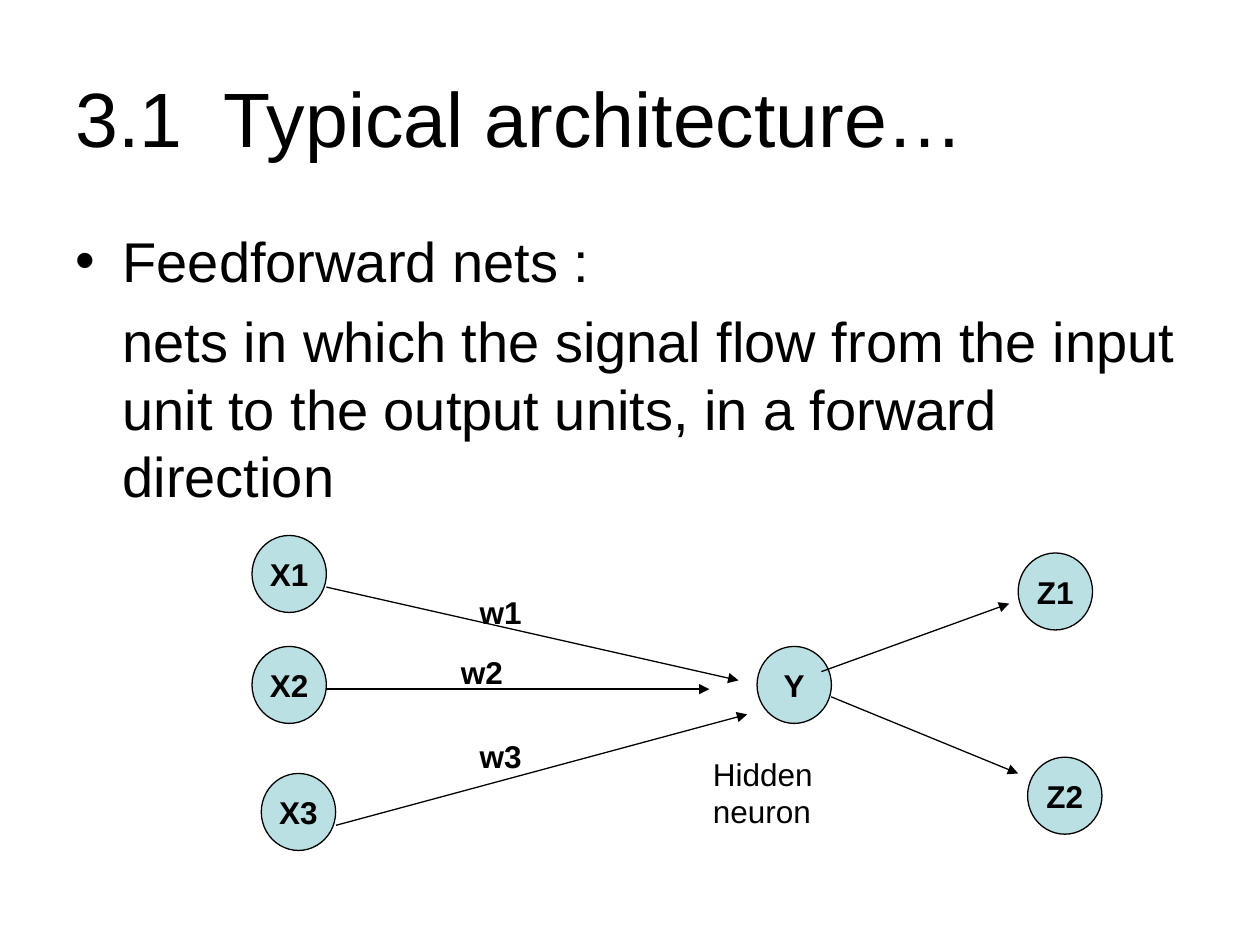
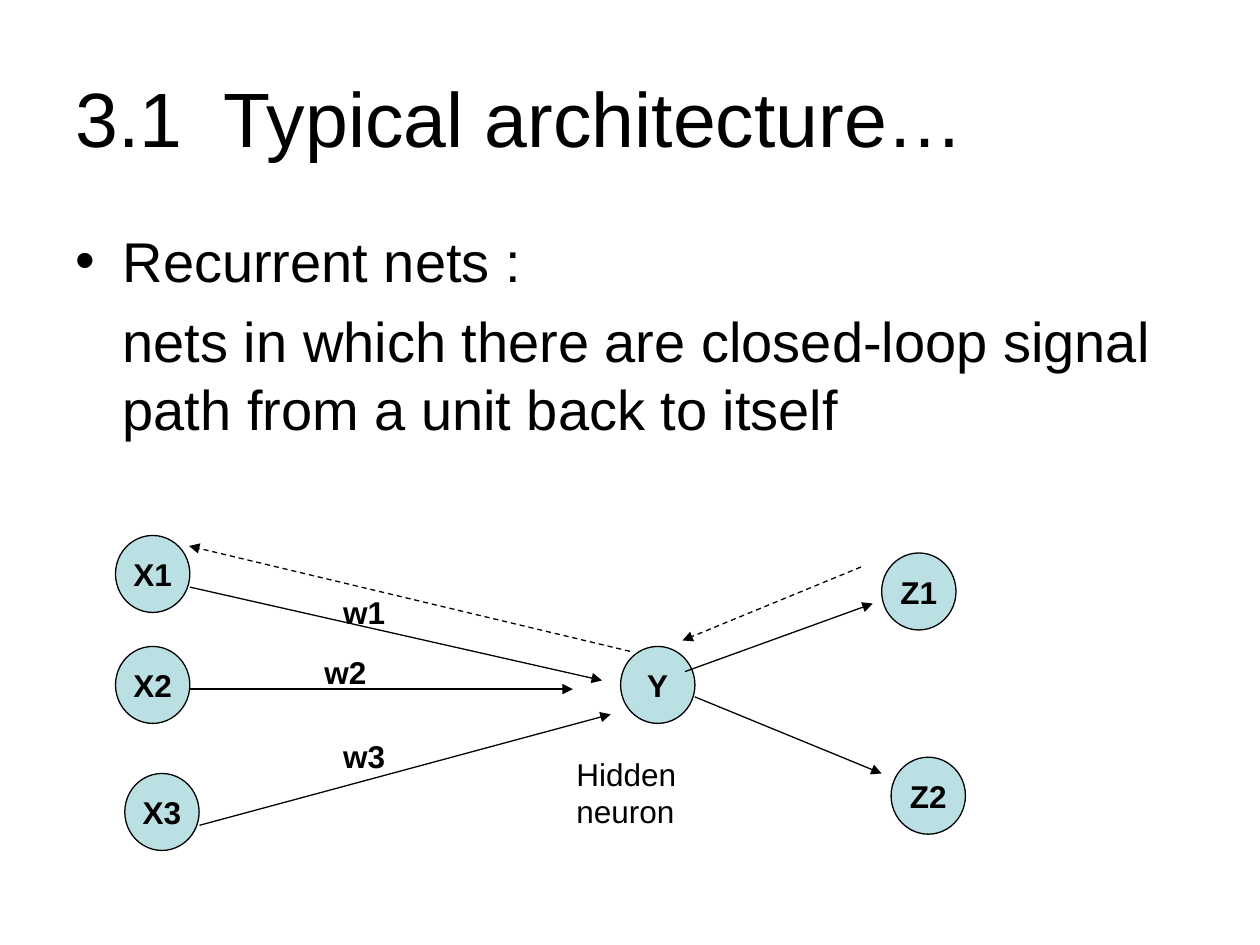
from lxml.etree import SubElement
from pptx import Presentation
from pptx.dml.color import RGBColor
from pptx.enum.dml import MSO_LINE
from pptx.enum.shapes import MSO_CONNECTOR, MSO_SHAPE
from pptx.enum.text import MSO_ANCHOR, MSO_AUTO_SIZE, PP_ALIGN
from pptx.oxml.ns import qn
from pptx.util import Pt

FONT = "Arial"
BLACK = "000000"
NODE_FILL = "BBE0E3"
TITLE = "3.1  Typical architecture…"
TITLE_BOX = (36, 21.6, 648, 90)
BODY_BOX = (36, 126, 648, 356.4)
BODY_INDENT = 27
NODE_SIZE = (42.5, 44)
NETWORK_TOP = 306

NODES = {
    "X1": (0, 0),
    "X2": (0, 63.4),
    "X3": (5.3, 136),
    "Y": (288.6, 63.4),
    "Z1": (437.8, 10),
    "Z2": (443.2, 126.7),
}
FORWARD_ARROWS = [
    (42.5, 29.5, 278, 82.8),
    (42.5, 87.8, 261.4, 87.8),
    (48, 165.6, 283, 102.2),
    (325.4, 77.8, 432.7, 38.9),
    (331, 92.2, 437.8, 136),
]
FEEDBACK_ARROWS = [(294, 66.2, 42, 6), (426, 18, 324, 60)]
LABELS = [
    ("w1", (123, 29.5, 69, 28.8), True),
    ("w2", (112.3, 63.4, 53.3, 28.8), True),
    ("w3", (123, 111.6, 53.3, 28.8), True),
    ("Hidden neuron", (256.3, 121.7, 122.4, 50.4), False),
]
SLIDES = [
    ("Feedforward nets :",
     "nets in which the signal flow from the input unit to the output units, "
     "in a forward direction", 144, []),
    ("Recurrent nets :",
     "nets in which there are closed-loop signal path from a unit back to itself",
     66, FEEDBACK_ARROWS),
]


def color(hex_string):
    """Return the colour for a hex string."""
    return RGBColor.from_string(hex_string)


def points(values):
    """Turn plain numbers into point lengths."""
    return [Pt(value) for value in values]


def format_text(text_frame, size, bold=False, align=PP_ALIGN.LEFT):
    """Apply the shared font to every run of a text frame."""
    for paragraph in text_frame.paragraphs:
        paragraph.alignment = align
        for run in paragraph.runs:
            run.font.name = FONT
            run.font.size = Pt(size)
            run.font.bold = bold
            run.font.color.rgb = color(BLACK)


def add_title(slide, box):
    """Place and format the title placeholder."""
    title = slide.shapes.title
    title.left, title.top, title.width, title.height = points(box)
    title.text_frame.text = TITLE
    title.text_frame.auto_size = MSO_AUTO_SIZE.NONE
    title.text_frame.vertical_anchor = MSO_ANCHOR.MIDDLE
    format_text(title.text_frame, 44)


def add_text(shapes, box, text, size, bold=False):
    """Add a wrapping text box and return its text frame."""
    text_frame = shapes.add_textbox(*points(box)).text_frame
    text_frame.word_wrap = True
    text_frame.text = text
    format_text(text_frame, size, bold)
    return text_frame


def add_definition(slide, box, term, meaning):
    """Add a bulleted term with its meaning indented below."""
    text_frame = add_text(slide.shapes, box, f"{term}\n{meaning}", 32)
    for paragraph, indent in zip(text_frame.paragraphs, (-BODY_INDENT, 0)):
        paragraph.space_before = Pt(7.4)
        properties = paragraph._p.get_or_add_pPr()
        properties.set("marL", str(Pt(BODY_INDENT)))
        properties.set("indent", str(Pt(indent)))
        if indent:
            SubElement(properties, qn("a:buFont"), typeface=FONT)
            SubElement(properties, qn("a:buChar"), char="•")
        else:
            SubElement(properties, qn("a:buNone"))


def add_node(shapes, left, top, name):
    """Add one neuron as a labelled circle."""
    node = shapes.add_shape(MSO_SHAPE.OVAL, *points((left, top, *NODE_SIZE)))
    node.shadow.inherit = False
    node.fill.solid()
    node.fill.fore_color.rgb = color(NODE_FILL)
    node.line.color.rgb = color(BLACK)
    node.line.width = Pt(0.75)
    node.text_frame.word_wrap = False
    node.text_frame.vertical_anchor = MSO_ANCHOR.MIDDLE
    node.text_frame.text = name
    format_text(node.text_frame, 18, True, PP_ALIGN.CENTER)


def add_arrow(shapes, ends, dashed=False):
    """Add a thin arrow between two points."""
    arrow = shapes.add_connector(MSO_CONNECTOR.STRAIGHT, *points(ends))
    arrow.line.color.rgb = color(BLACK)
    arrow.line.width = Pt(0.75)
    if dashed:
        arrow.line.dash_style = MSO_LINE.DASH
    SubElement(arrow.line._get_or_add_ln(), qn("a:tailEnd"), type="triangle")
    SubElement(arrow._element.spPr, qn("a:effectLst"))


def add_network(slide, left, top, feedback_arrows):
    """Draw the network with its top left corner at the given point."""
    shapes = slide.shapes.add_group_shape().shapes
    for name, (x, y) in NODES.items():
        add_node(shapes, left + x, top + y, name)
    for arrows, dashed in ((FORWARD_ARROWS, False), (feedback_arrows, True)):
        for x1, y1, x2, y2 in arrows:
            add_arrow(shapes, (left + x1, top + y1, left + x2, top + y2), dashed)
    for text, (x, y, width, height), bold in LABELS:
        add_text(shapes, (left + x, top + y, width, height), text, 18, bold)


def add_architecture_slide(presentation, term, meaning, network_left, feedback_arrows):
    """Add a slide that defines and draws one type of net."""
    slide = presentation.slides.add_slide(presentation.slide_layouts[5])
    add_title(slide, TITLE_BOX)
    add_definition(slide, BODY_BOX, term, meaning)
    add_network(slide, network_left, NETWORK_TOP, feedback_arrows)


def main():
    """Build and save the presentation."""
    presentation = Presentation()
    presentation.slide_width, presentation.slide_height = Pt(720), Pt(540)
    for content in SLIDES:
        add_architecture_slide(presentation, *content)
    presentation.save("out.pptx")


if __name__ == "__main__":
    main()
